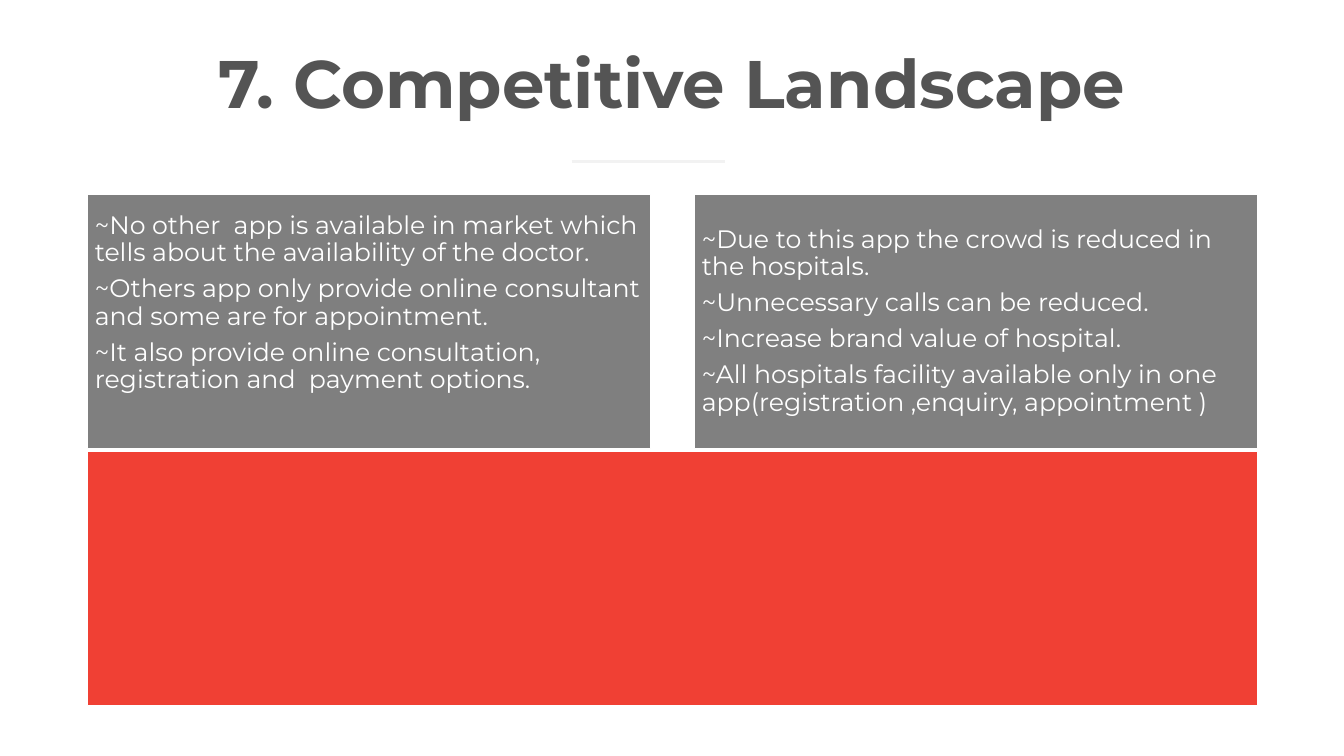
import pptx
import pptx.dml.color
import pptx.enum.shapes
import pptx.enum.text
import pptx.oxml.ns
import pptx.util
from lxml import etree

Inches, Pt = pptx.util.Inches, pptx.util.Pt
ALIGN = pptx.enum.text.PP_ALIGN
ANCHOR = pptx.enum.text.MSO_ANCHOR

FONT = "Montserrat"
COLORS = {
    "title": "545454",
    "rule": "F2F2F2",
    "left": "7F7F7F",
    "right": "808080",
    "banner": "F04034",
    "white": "FFFFFF",
}

# Grid: two columns over two rows
LEFT, TOP = 0.87, 1.93
COLUMN, GUTTER = 5.58, 0.44
ROW, ROW_GAP = 2.52, 0.03
INSET = 0.07

MARKET_POINTS = [
    "~No other  app is available in market which tells about the availability of the doctor.",
    "~Others app only provide online consultant and some are for appointment.",
    "~It also provide online consultation, registration and  payment options.",
]
HOSPITAL_POINTS = [
    "~Due to this app the crowd is reduced in the hospitals.",
    "~Unnecessary calls can be reduced.",
    "~Increase brand value of hospital.",
    "~All hospitals facility available only in one app(registration ,enquiry, appointment )",
]


def color(name):
    return pptx.dml.color.RGBColor.from_string(COLORS[name])


def style(paragraph, size, color_name, spacing, align, bold=False):
    paragraph.alignment = align
    paragraph.line_spacing = spacing
    font = paragraph.font
    font.name, font.size, font.bold = FONT, Pt(size), bold
    font.color.rgb = color(color_name)


def add_title(slide, text):
    title = slide.shapes.add_textbox(Inches(0.82), Inches(0.52), Inches(11.69), Inches(0.75))
    frame = title.text_frame
    frame.word_wrap = True
    frame.text = text
    style(frame.paragraphs[0], 48, "title", 0.8, ALIGN.CENTER, bold=True)


def add_rule(slide, start, end, y):
    rule = slide.shapes.add_connector(
        pptx.enum.shapes.MSO_CONNECTOR.STRAIGHT,
        Inches(start), Inches(y), Inches(end), Inches(y))
    rule.line.color.rgb = color("rule")
    rule.line.width = Pt(2)
    etree.SubElement(rule.element.spPr, pptx.oxml.ns.qn("a:effectLst"))


def add_panel(slide, column, row, fill, span=1):
    width = span * COLUMN + (span - 1) * GUTTER
    panel = slide.shapes.add_shape(
        pptx.enum.shapes.MSO_SHAPE.RECTANGLE,
        Inches(LEFT + column * (COLUMN + GUTTER)),
        Inches(TOP + row * (ROW + ROW_GAP)),
        Inches(width), Inches(ROW))
    panel.shadow.inherit = False
    panel.fill.solid()
    panel.fill.fore_color.rgb = color(fill)
    panel.line.color.rgb = color("white")
    panel.line.width = Pt(1)
    return panel


def add_points(panel, points, space_below=0):
    frame = panel.text_frame
    frame.word_wrap = True
    frame.vertical_anchor = ANCHOR.MIDDLE
    frame.margin_left = frame.margin_right = frame.margin_top = Inches(INSET)
    frame.margin_bottom = Inches(INSET + space_below)
    frame.text = "\n".join(points)
    for point in frame.paragraphs:
        style(point, 18, "white", 0.9, ALIGN.LEFT)
        point.space_after = Pt(6.3)


def main():
    deck = pptx.Presentation()
    deck.slide_width, deck.slide_height = Inches(13.33), Inches(7.5)
    slide = deck.slides.add_slide(deck.slide_layouts[6])

    # Heading
    add_rule(slide, 5.67, 7.19, 1.6)
    add_title(slide, "7. Competitive Landscape")

    # Comparison panels
    add_points(add_panel(slide, 0, 0, "left"), MARKET_POINTS, space_below=0.36)
    add_points(add_panel(slide, 1, 0, "right"), HOSPITAL_POINTS)

    # Banner across both columns
    add_panel(slide, 0, 1, "banner", span=2)

    deck.save("out.pptx")


if __name__ == "__main__":
    main()
